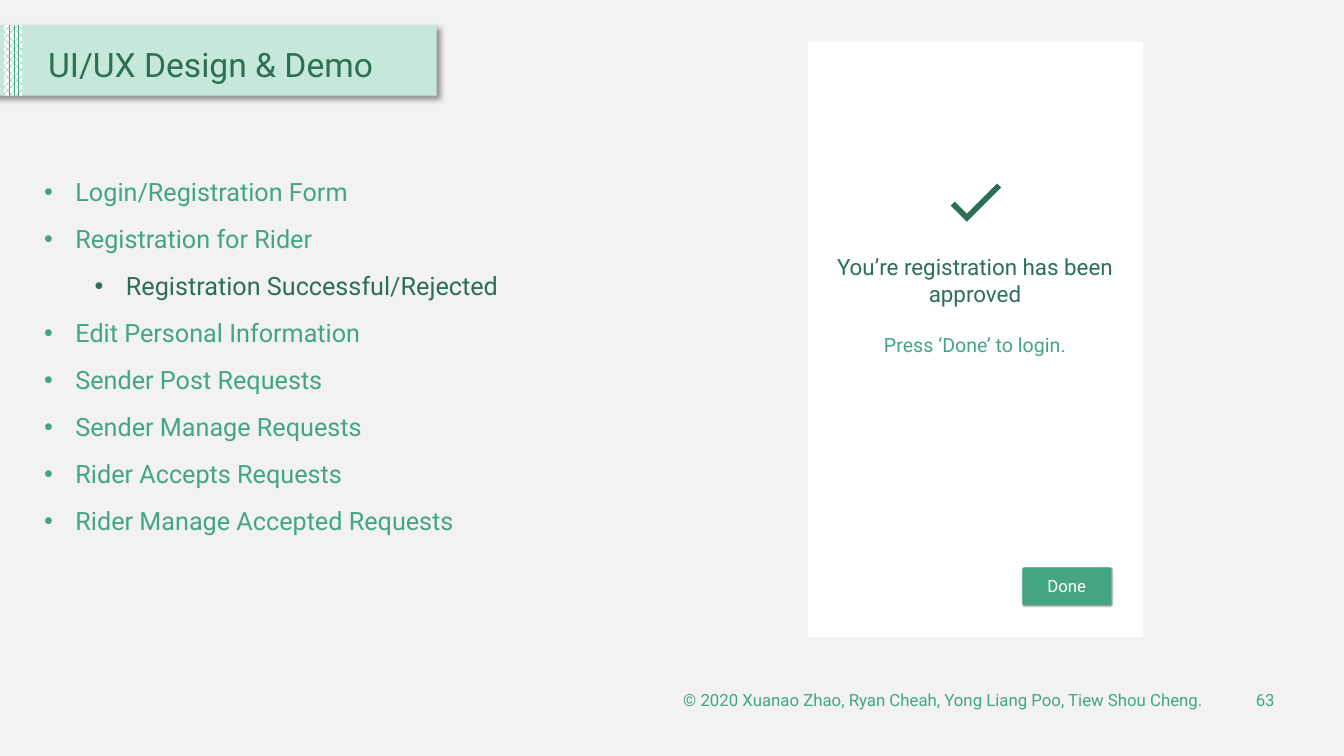
import pptx
import pptx.util
import pptx.dml.color
import pptx.enum.dml
import pptx.enum.shapes
import pptx.enum.text
import pptx.oxml

Inches, Pt = pptx.util.Inches, pptx.util.Pt
SHAPE = pptx.enum.shapes.MSO_SHAPE
ALIGN = pptx.enum.text.PP_ALIGN
ANCHOR = pptx.enum.text.MSO_ANCHOR
NS = 'xmlns:a="http://schemas.openxmlformats.org/drawingml/2006/main"'

GREEN, DARK, MINT = "43A680", "2D6F55", "C6E8DB"
WHITE, GREY = "FFFFFF", "F2F2F2"

MENU = [
    ("Login/Registration Form", 0),
    ("Registration for Rider", 0),
    ("Registration Successful/Rejected", 1),
    ("Edit Personal Information", 0),
    ("Sender Post Requests", 0),
    ("Sender Manage Requests", 0),
    ("Rider Accepts Requests", 0),
    ("Rider Manage Accepted Requests", 0),
]


def rgb(color):
    return pptx.dml.color.RGBColor.from_string(color)


def add_xml(parent, xml):
    parent.append(pptx.oxml.parse_xml(xml))


def paint(sp, color):
    sp.shadow.inherit = False
    sp.fill.solid()
    sp.fill.fore_color.rgb = rgb(color)
    sp.line.fill.background()
    return sp


def add_block(s, x, y, w, h, color, kind=SHAPE.RECTANGLE):
    sp = s.shapes.add_shape(kind, Inches(x), Inches(y), Inches(w), Inches(h))
    return paint(sp, color)


def add_shadow(sp, blur, dist):
    sp.shadow.inherit = False
    effects = sp._element.spPr.find(pptx.oxml.ns.qn("a:effectLst"))
    add_xml(effects, f'<a:outerShdw {NS} blurRad="{Pt(blur)}" dist="{Pt(dist)}" '
            'dir="2700000" algn="tl" rotWithShape="0"><a:srgbClr val="000000">'
            '<a:alpha val="40000"/></a:srgbClr></a:outerShdw>')


def format_paragraph(p, text, size, color, align=ALIGN.LEFT):
    p.alignment = align
    r = p.add_run()
    r.text = text
    r.font.size = Pt(size)
    r.font.name = "Roboto"
    r.font.color.rgb = rgb(color)


def add_text(s, text, x, y, w, h, size=12, color=GREEN, align=ALIGN.LEFT,
             anchor=ANCHOR.TOP, spacing=None):
    tf = s.shapes.add_textbox(Inches(x), Inches(y), Inches(w), Inches(h)).text_frame
    tf.word_wrap = True
    tf.vertical_anchor = anchor
    for i, line in enumerate(text.split("\n")):
        p = tf.add_paragraph() if i else tf.paragraphs[0]
        p.line_spacing = spacing
        format_paragraph(p, line, size, color, align)
    return tf


def add_title(s, x, y, w, h):
    # Mint band running in from the left edge, with a patterned stripe
    band = add_block(s, x, y, w, h, MINT)
    add_shadow(band, 4, 3)
    stripe = add_block(s, x + 0.25, y, 0.18, h, GREEN)
    stripe.fill.patterned()
    stripe.fill.pattern = pptx.enum.dml.MSO_PATTERN.PERCENT_70
    stripe.fill.fore_color.rgb = rgb(GREEN)
    stripe.fill.back_color.rgb = rgb(WHITE)
    add_text(s, "UI/UX Design & Demo", x + 0.59, y + 0.11, w - 0.58, 0.6,
             size=24, color=DARK, anchor=ANCHOR.MIDDLE, spacing=0.9)


def add_menu(s, x, y, w, h):
    # Bulleted list; the nested item is the current screen
    sp = s.shapes.add_textbox(Inches(x), Inches(y), Inches(w), Inches(h))
    tf = sp.text_frame
    tf.word_wrap = True
    for i, (text, level) in enumerate(MENU):
        p = tf.add_paragraph() if i else tf.paragraphs[0]
        p.level = level
        if i:
            p.space_before = Pt(12)
        pPr = p._p.get_or_add_pPr()
        pPr.set("marL", str(Inches(0.31 + 0.5 * level)))
        pPr.set("indent", str(Inches(-0.31)))
        add_xml(pPr, f'<a:buFont {NS} typeface="Arial"/>')
        add_xml(pPr, f'<a:buChar {NS} char="•"/>')
        format_paragraph(p, text, 18, DARK if level else GREEN)


def add_check(s, x, y):
    points = [(0.16, 0.3), (0.04, 0.18), (0, 0.22), (0.16, 0.38),
              (0.5, 0.04), (0.46, 0)]
    points = [(Inches(x + dx), Inches(y + dy)) for dx, dy in points]
    fb = s.shapes.build_freeform(*points[0], scale=1.0)
    fb.add_line_segments(points[1:], close=True)
    paint(fb.convert_to_shape(), DARK)


def add_phone(s, x, y, w, h):
    # Screen with check mark and messages
    add_block(s, x, y, w, h, WHITE)
    add_check(s, x + 1.42, y + 1.41)
    add_text(s, "You’re registration has been\napproved", x + 0.17, y + 2.05,
             2.98, 0.64, size=16, color=DARK, align=ALIGN.CENTER)
    add_text(s, "Press ‘Done’ to login.", x + 0.17, y + 2.84, 2.98, 0.34,
             size=14, align=ALIGN.CENTER)
    # Done button
    bx, by = x + 2.13, y + 5.22
    button = add_block(s, bx, by, 0.88, 0.37, GREEN, SHAPE.ROUNDED_RECTANGLE)
    button.adjustments[0] = 0.05
    add_shadow(button, 1, 1)
    add_text(s, "Done", bx, by + 0.03, 0.88, 0.3, color=WHITE, align=ALIGN.CENTER)


def add_footer(s, x, y, w, h):
    style = {"align": ALIGN.RIGHT, "anchor": ANCHOR.MIDDLE}
    add_text(s, "© 2020 Xuanao Zhao, Ryan Cheah, Yong Liang Poo, Tiew Shou Cheng.",
             x, y, w - 0.71, h, **style)
    add_text(s, "63", x + w - 0.59, y, 0.59, h, **style)


def main():
    prs = pptx.Presentation()
    prs.slide_width, prs.slide_height = Inches(13.33), Inches(7.5)
    s = prs.slides.add_slide(prs.slide_layouts[6])
    s.background.fill.solid()
    s.background.fill.fore_color.rgb = rgb(GREY)
    add_title(s, -0.21, 0.25, 4.54, 0.7)
    add_menu(s, 0.34, 1.7, 4.99, 3.7)
    add_phone(s, 8.01, 0.41, 3.33, 5.91)
    add_footer(s, 5.44, 6.74, 7.3, 0.4)
    prs.save("out.pptx")


if __name__ == "__main__":
    main()
